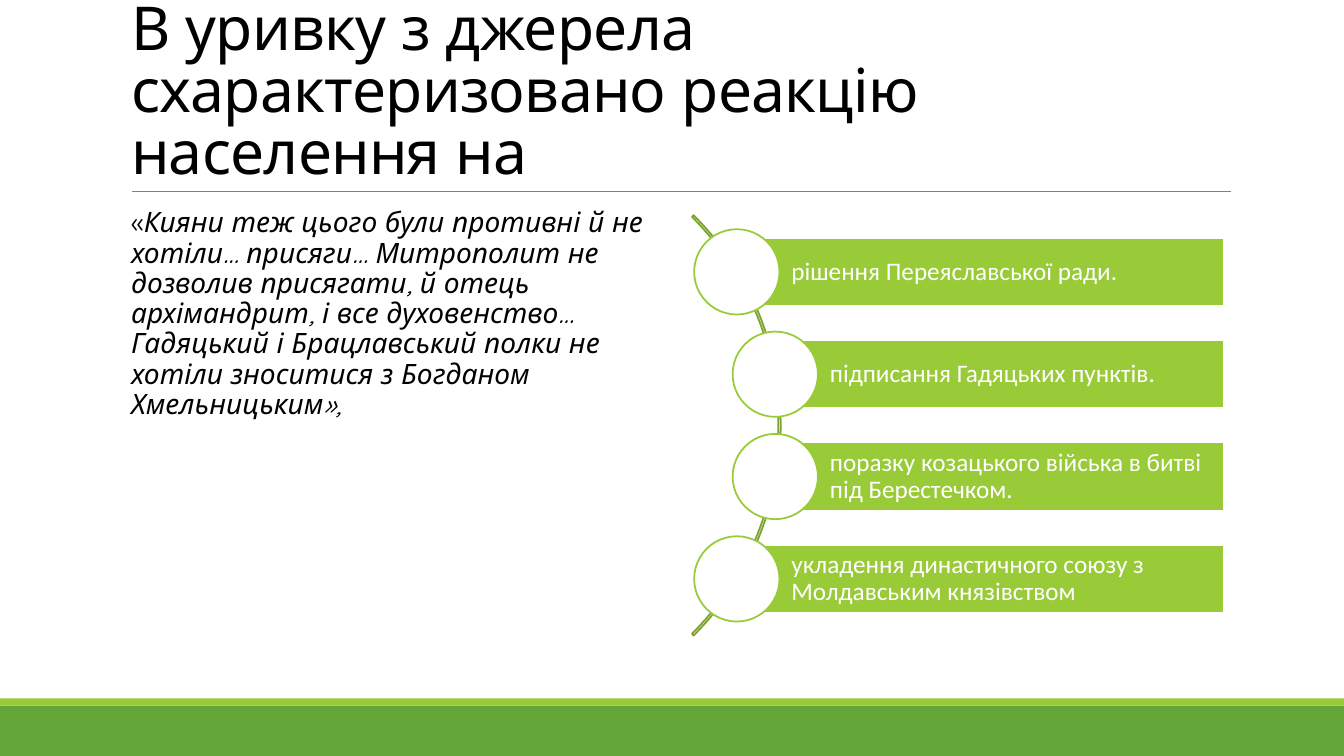
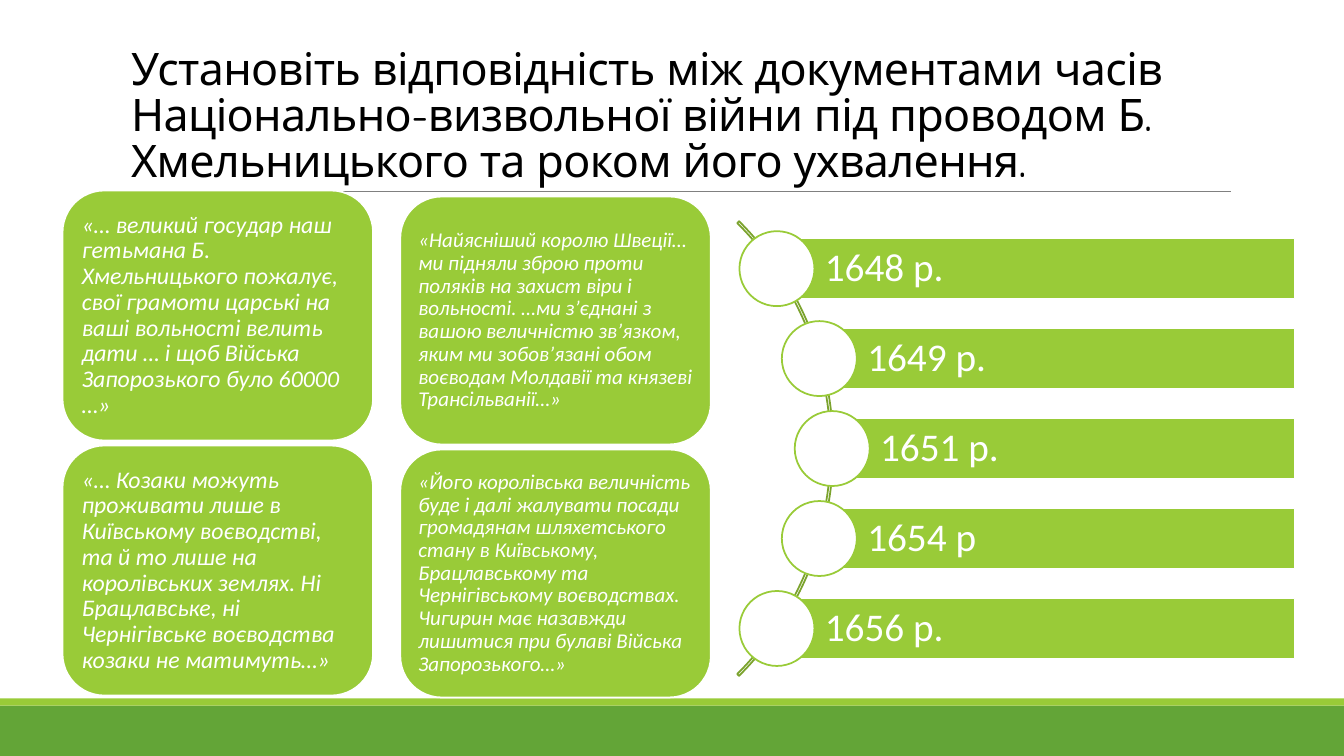
import math
from lxml import etree
from pptx import Presentation
from pptx.dml.color import RGBColor
from pptx.enum.shapes import MSO_CONNECTOR, MSO_SHAPE
from pptx.enum.text import MSO_ANCHOR, MSO_AUTO_SIZE, PP_ALIGN
from pptx.oxml.ns import qn
from pptx.util import Inches, Pt

RECT = MSO_SHAPE.RECTANGLE
ROUND = MSO_SHAPE.ROUNDED_RECTANGLE
OVAL = MSO_SHAPE.OVAL
ARC = MSO_SHAPE.BLOCK_ARC
STRAIGHT = MSO_CONNECTOR.STRAIGHT
MIDDLE = MSO_ANCHOR.MIDDLE
BOTTOM = MSO_ANCHOR.BOTTOM
TOP = MSO_ANCHOR.TOP
LEFT = PP_ALIGN.LEFT
NO_FIT = MSO_AUTO_SIZE.NONE

GREEN = "63A537"
LIME = "99CB38"
OLIVE = "7BA32D"
GRAY = "808080"
WHITE = "FFFFFF"
BLACK = "000000"
HEAD_FONT = "Quicksand"
TEXT_FONT = "Calibri"

TITLE_BOX = (1.2, 0.31, 11, 1.59)
QUOTE_BOX = (1.2, 2.02, 5.4, 4.4)

QUOTE = [
    ("«", False),
    ("Кияни теж цього були противні й не хотіли… присяги… Митрополит не "
     "дозволив присягати, й отець архімандрит, і все духовенство… Гадяцький "
     "і Брацлавський полки не хотіли зноситися з Богданом Хмельницьким»,", True),
]
ANSWERS = [
    "рішення Переяславської ради.",
    "підписання Гадяцьких пунктів.",
    "поразку козацького війська в битві під Берестечком.",
    "укладення династичного союзу з Молдавським князівством",
]
YEARS = ["1648 р.", "1649 р.", "1651 р.", "1654 р", "1656 р."]
TSAR_CARDS = [
    "«… великий государ наш гетьмана Б. Хмельницького пожалує, свої грамоти "
    "царські на ваші вольності велить дати … і щоб Війська Запорозького було "
    "60000 …»",
    "«… Козаки можуть проживати лише в Київському воєводстві, та й то лише на "
    "королівських землях. Ні Брацлавське, ні Чернігівське воєводства козаки "
    "не матимуть…»",
]
KING_CARDS = [
    "«Найясніший королю Швеції… ми підняли зброю проти поляків на захист віри "
    "і вольності. …ми з’єднані з вашою величністю зв’язком, яким ми "
    "зобов’язані обом воєводам Молдавії та князеві Трансільванії…»",
    "«Його королівська величність буде і далі жалувати посади громадянам "
    "шляхетського стану в Київському, Брацлавському та Чернігівському "
    "воєводствах. Чигирин має назавжди лишитися при булаві Війська "
    "Запорозького…»",
]


def color(code):
    """Turn a hex string into a colour."""
    return RGBColor.from_string(code)


def place(shape, box):
    """Move a shape to a box given in inches."""
    shape.left, shape.top, shape.width, shape.height = map(Inches, box)


def add_form(slide, kind, box, fill=None, line=None):
    """Add a flat preset shape."""
    form = slide.shapes.add_shape(kind, *map(Inches, box))
    form.shadow.inherit = False
    if fill:
        form.fill.solid()
        form.fill.fore_color.rgb = color(fill)
    else:
        form.fill.background()
    if line:
        form.line.color.rgb = color(line)
        form.line.width = Pt(1.25)
    else:
        form.line.fill.background()
    return form


def set_frame(frame, pads, anchor):
    """Set the wrapping, insets and anchor of a text frame."""
    frame.word_wrap = True
    frame.auto_size = NO_FIT
    frame.vertical_anchor = anchor
    (frame.margin_left, frame.margin_top,
     frame.margin_right, frame.margin_bottom) = map(Inches, pads)


def set_para(para, size, font, tint, space=0.9):
    """Format a paragraph and all of its runs."""
    para.alignment = LEFT
    para.line_spacing = space
    para.space_before = Pt(0)
    for run in para.runs:
        run.font.size = Pt(size)
        run.font.name = font
        run.font.color.rgb = color(tint)


def add_bands(prs, slide):
    """Draw the shared bands and rule and hand them to the master."""
    low = add_form(slide, RECT, (0, 7, 13.33, 0.5), GREEN)
    thin = add_form(slide, RECT, (0, 6.93, 13.33, 0.07), LIME)
    rule = slide.shapes.add_connector(
        STRAIGHT, Inches(1.31), Inches(1.9), Inches(12.21), Inches(1.9))
    rule.line.color.rgb = color(GRAY)
    rule.line.width = Pt(0.5)
    etree.SubElement(rule.element.spPr, qn("a:effectLst"))
    for num, part in enumerate((low, thin, rule), 90):
        part.element.xpath(".//p:cNvPr")[0].set("id", str(num))
        prs.slide_master.shapes.element.append(part.element)


def set_title(slide, text, size):
    """Fill and place the slide title."""
    title = slide.shapes.title
    place(title, TITLE_BOX)
    set_frame(title.text_frame, (0.1, 0.05, 0.1, 0.05), BOTTOM)
    title.text_frame.text = text
    para = title.text_frame.paragraphs[0]
    set_para(para, size, HEAD_FONT, BLACK, 0.85)
    para.runs[0].font._element.set("spc", "-50")


def set_quote(slide, parts, box):
    """Fill the body placeholder with a quotation."""
    body = slide.placeholders[1]
    place(body, box)
    set_frame(body.text_frame, (0, 0.05, 0, 0.05), TOP)
    para = body.text_frame.paragraphs[0]
    props = para._p.get_or_add_pPr()
    props.set("marL", str(Inches(0.1)))
    props.set("indent", "0")
    etree.SubElement(props, qn("a:buNone"))
    for text, slant in parts:
        run = para.add_run()
        run.text = text
        run.font.italic = slant
    set_para(para, 20, HEAD_FONT, BLACK)


def add_curve(slide, items, box, size):
    """Draw a list of bars whose discs follow an arc."""
    left, top, width, height = box
    radius = 0.67 * height
    mid_x = left - radius * math.cos(math.pi / 4)
    mid_y = top + height / 2
    arc = add_form(slide, ARC, (mid_x - radius, mid_y - radius,
                                2 * radius, 2 * radius), None, OLIVE)
    for num, value in enumerate((189, 27, 0.004)):
        arc.adjustments[num] = value
    bar_h = height / (1.5 * len(items) + 0.5)
    disc = 1.25 * bar_h
    pad = size / 360
    for num, text in enumerate(items):
        drop = 1.5 * bar_h * (num - (len(items) - 1) / 2)
        x = mid_x + math.sqrt((radius - 0.01) ** 2 - drop ** 2)
        y = mid_y + drop
        bar = add_form(slide, RECT, (x, y - bar_h / 2,
                                     left + width - x, bar_h), LIME, WHITE)
        set_frame(bar.text_frame, (0.8 * bar_h, pad, pad, pad), MIDDLE)
        bar.text_frame.text = text
        set_para(bar.text_frame.paragraphs[0], size, TEXT_FONT, WHITE)
        add_form(slide, OVAL, (x - disc / 2, y - disc / 2, disc, disc),
                 WHITE, LIME)


def add_cards(slide, texts, box, size, pad):
    """Stack rounded quotation cards in a column."""
    left, top, width, height = box
    gap = 0.05
    card_h = (height - gap * (len(texts) - 1)) / len(texts)
    for num, text in enumerate(texts):
        card = add_form(slide, ROUND, (left, top + num * (card_h + gap),
                                       width, card_h), LIME, WHITE)
        set_frame(card.text_frame, (pad,) * 4, MIDDLE)
        card.text_frame.text = text
        para = card.text_frame.paragraphs[0]
        set_para(para, size, TEXT_FONT, WHITE)
        para.runs[0].font.italic = True


def add_choice(prs):
    """Build the slide with a quotation and four answers."""
    slide = prs.slides.add_slide(prs.slide_layouts[1])
    add_bands(prs, slide)
    set_title(slide, "В уривку з джерела схарактеризовано реакцію "
                     "населення на", 43.2)
    set_quote(slide, QUOTE, QUOTE_BOX)
    add_curve(slide, ANSWERS, (6.88, 2.02, 5.26, 4.4), 18)


def add_match(prs):
    """Build the slide that matches documents with years."""
    slide = prs.slides.add_slide(prs.slide_layouts[5])
    set_title(slide, "Установіть відповідність між документами часів "
                     "Національно-визвольної війни під проводом Б. "
                     "Хмельницького та роком його ухвалення.", 32)
    add_cards(slide, TSAR_CARDS, (0.62, 1.89, 3.08, 5.01), 17, 0.07)
    add_cards(slide, KING_CARDS, (3.97, 1.95, 3.08, 4.97), 15, 0.06)
    add_curve(slide, YEARS, (7.33, 2.07, 5.51, 4.76), 28)


def main():
    """Build and save the presentation."""
    prs = Presentation()
    prs.slide_width = Inches(13.33)
    prs.slide_height = Inches(7.5)
    add_choice(prs)
    add_match(prs)
    prs.save("out.pptx")


if __name__ == "__main__":
    main()
